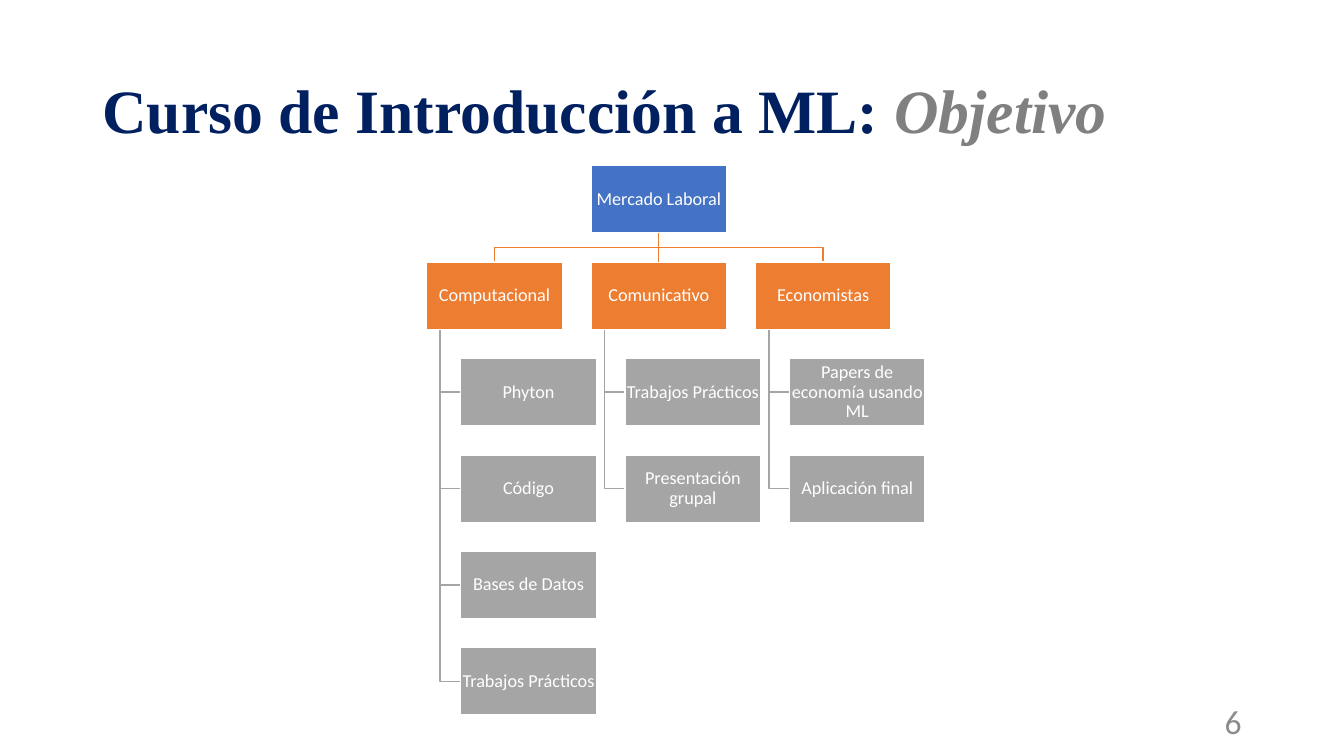
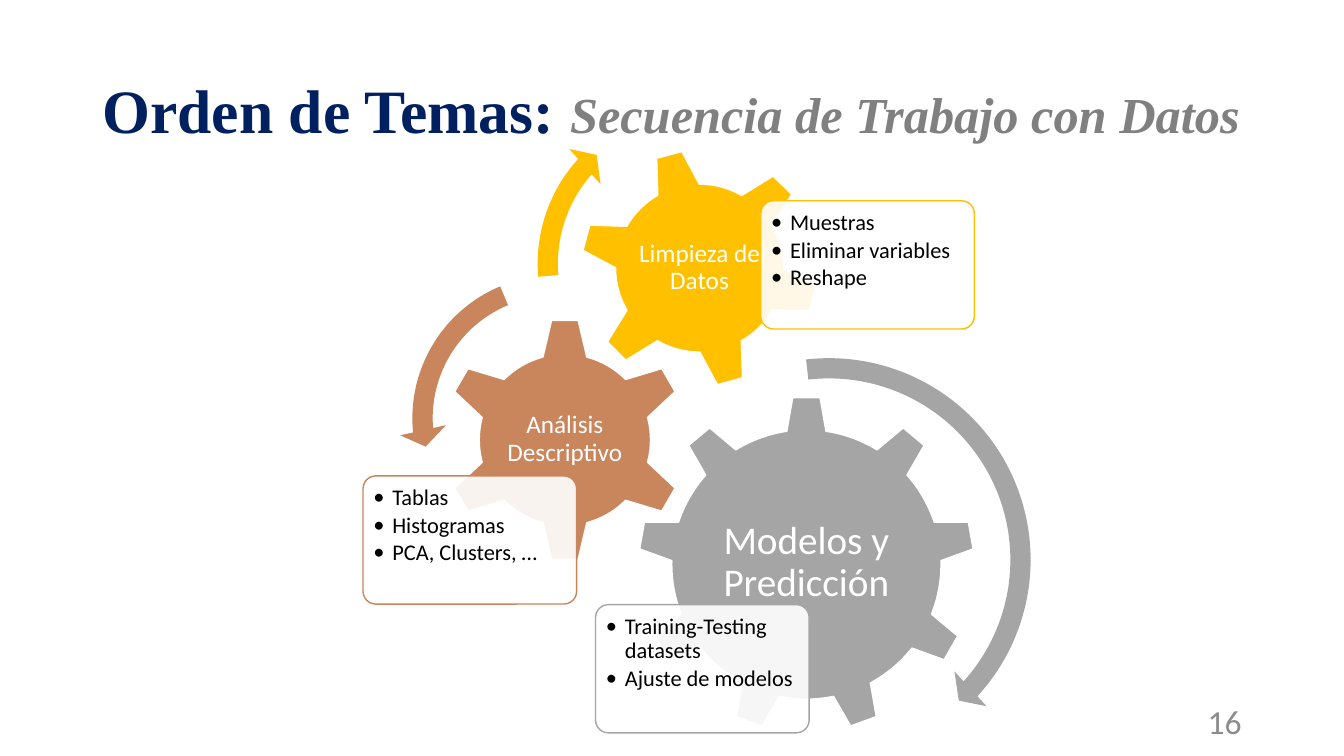
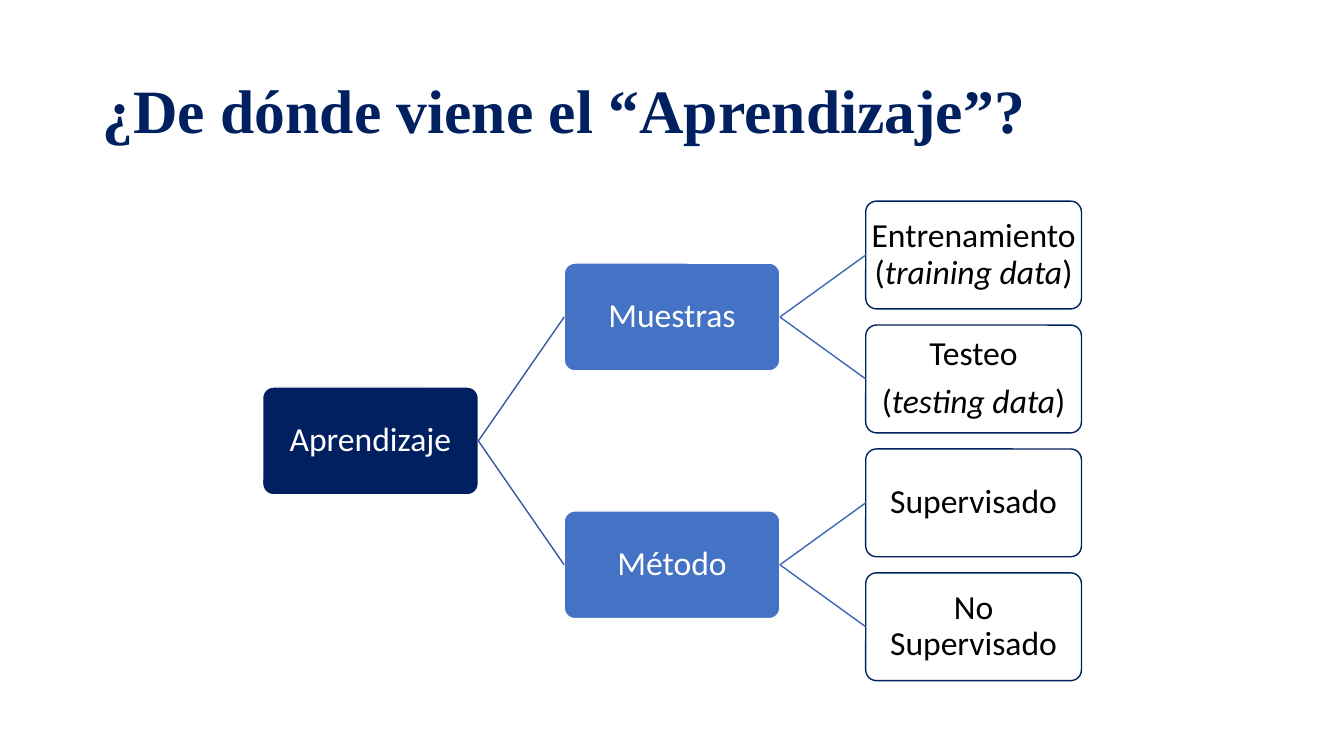
from lxml.etree import SubElement
from pptx import Presentation
from pptx.dml.color import RGBColor
from pptx.enum.shapes import MSO_CONNECTOR, MSO_SHAPE
from pptx.enum.text import MSO_ANCHOR, MSO_AUTO_SIZE, PP_ALIGN
from pptx.oxml.ns import qn
from pptx.util import Pt

NAVY = RGBColor(0x00, 0x20, 0x60)
BLUE = RGBColor(0x44, 0x72, 0xC4)
ROOT_LINK = RGBColor(0x36, 0x5B, 0x9D)
BRANCH_LINK = RGBColor(0x3E, 0x67, 0xB2)
ORANGE = RGBColor(0xED, 0x7D, 0x31)
GRAY = RGBColor(0xA5, 0xA5, 0xA5)
BROWN = RGBColor(0xC9, 0x85, 0x5C)
YELLOW = RGBColor(0xFF, 0xC0, 0x00)
SUBTITLE = RGBColor(0x80, 0x80, 0x80)
NUMBER = RGBColor(0x8C, 0x8C, 0x8C)
WHITE = RGBColor(0xFF, 0xFF, 0xFF)
BLACK = RGBColor(0x00, 0x00, 0x00)


def write(sp, paragraphs, size=18, color=WHITE, font="Calibri", bold=False,
          align=PP_ALIGN.CENTER, anchor=MSO_ANCHOR.MIDDLE, inset=None,
          spacing=0.9, after=0.35, bullet=False, fill=None, line=None):
    """Format a shape and fill it with paragraphs, each a list of
    (text, italic, font overrides) runs or a plain string."""
    if fill is not None:
        sp.shadow.inherit = False
        sp.fill.solid()
        sp.fill.fore_color.rgb = fill
        if line is None:
            sp.line.fill.background()
        else:
            sp.line.color.rgb = line
            sp.line.width = Pt(1)
    tf = sp.text_frame
    tf.word_wrap = True
    tf.auto_size = MSO_AUTO_SIZE.NONE
    tf.vertical_anchor = anchor
    if inset is not None:
        tf.margin_left = tf.margin_right = Pt(inset)
        tf.margin_top = tf.margin_bottom = Pt(inset)
    for i, runs in enumerate(paragraphs):
        p = tf.add_paragraph() if i else tf.paragraphs[0]
        p.alignment = align
        p.line_spacing = spacing
        p.space_before = Pt(0)
        p.space_after = Pt(round(size * after, 1))
        if bullet:
            pPr = p._p.get_or_add_pPr()
            pPr.set("marL", str(Pt(13.5)))
            pPr.set("indent", str(Pt(-13.5)))
            SubElement(pPr, qn("a:buFont")).set("typeface", font)
            SubElement(pPr, qn("a:buChar")).set("char", "•")
        for text, italic, other in [(runs, False, {})] if isinstance(runs, str) else runs:
            r = p.add_run()
            r.text = text
            r.font.name = font
            r.font.bold = bold
            r.font.italic = italic
            r.font.size = Pt(other.get("size", size))
            r.font.color.rgb = other.get("color", color)


def join(s, parent, site, child, child_site, color):
    """Connect two shapes with a straight line."""
    cn = s.shapes.add_connector(MSO_CONNECTOR.STRAIGHT, 0, 0, 0, 0)
    cn.begin_connect(parent, site)
    cn.end_connect(child, child_site)
    cn.line.color.rgb = color
    cn.line.width = Pt(1)
    SubElement(cn._element.spPr, qn("a:effectLst"))


prs = Presentation()
prs.slide_width, prs.slide_height = Pt(960), Pt(540)
layout = prs.slide_layouts[5]
title = layout.placeholders[0]
title.left, title.top, title.width, title.height = Pt(66), Pt(28.8), Pt(828), Pt(104.4)

# Titles and slide numbers
headings = [
    ("Curso de Introducción a ML: ", "Objetivo", 44, "6"),
    ("Orden de Temas: ", "Secuencia de Trabajo con Datos", 36, "16"),
    ("¿De dónde viene el “Aprendizaje”?", "", 44, ""),
]
for heading, subtitle, subtitle_size, number in headings:
    s = prs.slides.add_slide(layout)
    runs = [(heading, False, {})]
    if subtitle:
        runs.append((subtitle, True, {"size": subtitle_size, "color": SUBTITLE}))
    write(s.shapes.title, [runs], size=44, color=NAVY, font="Times New Roman",
          bold=True, align=PP_ALIGN.LEFT, after=0)
    if number:
        tb = s.shapes.add_textbox(Pt(678), Pt(500.4), Pt(216), Pt(28.8))
        write(tb, [number], size=24, color=NUMBER, align=PP_ALIGN.RIGHT,
              spacing=1, after=0)
course, sequence, learning = prs.slides

# Course goal: organisation chart, elbow lines behind the boxes
BOX_W, BOX_H = 97, 48.2
LEFT, TOP, COL, ROW = 304.7, 118.2, 117.4, 68.9
INDENT, TRUNK = 24.3, 9.7
areas = [
    ("Computacional", ["Phyton", "Código", "Bases de Datos", "Trabajos Prácticos"]),
    ("Comunicativo", ["Trabajos Prácticos", "Presentación grupal"]),
    ("Economistas", ["Papers de economía usando ML", "Aplicación final"]),
]
boxes = [("Mercado Laboral", LEFT + COL, 0, BLUE)]
elbows = []
root_x = LEFT + COL + BOX_W / 2
bus_y = TOP + (BOX_H + ROW) / 2
for i, (area, topics) in enumerate(areas):
    x = LEFT + i * COL
    center = x + BOX_W / 2
    boxes.append((area, x, 1, ORANGE))
    if i != 1:
        elbows.append((ORANGE, [(root_x, TOP + BOX_H), (root_x, bus_y),
                                (center, bus_y), (center, TOP + ROW)]))
    for row, topic in enumerate(topics, 2):
        y = TOP + row * ROW + BOX_H / 2
        boxes.append((topic, x + INDENT, row, GRAY))
        elbows.append((GRAY, [(x + TRUNK, TOP + ROW + BOX_H), (x + TRUNK, y),
                              (x + INDENT, y)]))
for color, points in elbows:
    start, *rest = [(Pt(x), Pt(y)) for x, y in points]
    outline = course.shapes.build_freeform(*start)
    outline.add_line_segments(rest, close=False)
    sp = outline.convert_to_shape()
    sp.shadow.inherit = False
    sp.fill.background()
    sp.line.color.rgb = color
    sp.line.width = Pt(1)
drawn = {}
for text, x, row, color in boxes:
    sp = course.shapes.add_shape(MSO_SHAPE.RECTANGLE, Pt(x), Pt(TOP + row * ROW),
                                 Pt(BOX_W), Pt(BOX_H))
    write(sp, [text], size=13, inset=0.7, fill=color, line=WHITE)
    drawn[text] = sp
join(course, drawn["Mercado Laboral"], 2, drawn["Comunicativo"], 0, ORANGE)

# Work sequence: gear, label, card with bullets and turning arrow.
# Label: text, size, width, middle.
# Arrow: kind, left, top, side, then width %, head angle, end and start angles, head %
CARD_W, CARD_H = 152.6, 91.6
LABEL_H = 86
stages = [
    (("Modelos y Predicción", 28, 144, 401.8), GRAY,
     (MSO_SHAPE.GEAR_9, 455.8, 283, 240.4, 0),
     (425.4, 431.9), ["Training-Testing datasets", "Ajuste de modelos"],
     (MSO_SHAPE.CIRCULAR_ARROW, 438.5, 246.2, 307.4, 4.7, 4.98, 42.35, 263.47, 5.5)),
    (("Análisis Descriptivo", 18, 87.2, 313.8), BROWN,
     (MSO_SHAPE.GEAR_6, 316.1, 226.8, 174.8, 0),
     (259.3, 339.9), ["Tablas", "Histogramas", "PCA, Clusters, …"],
     (MSO_SHAPE.LEFT_CIRCULAR_ARROW, 285.1, 187.2, 223.2, 6.5, 7.17, 174.82, 247.3, 7.5)),
    (("Limpieza de Datos", 18, 95.8, 191.4), YELLOW,
     (MSO_SHAPE.GEAR_6, 414, 105.8, 171.4, 345),
     (543.4, 143.4), ["Muestras", "Eliminar variables", "Reshape"],
     (MSO_SHAPE.CIRCULAR_ARROW, 374.4, 67.7, 241.2, 6, 6.57, 221.9, 175.14, 7)),
]
for label, color, gear, card, bullets, arrow in stages:
    kind, x, y, side, turn = gear
    sp = sequence.shapes.add_shape(kind, Pt(x), Pt(y), Pt(side), Pt(side))
    sp.rotation = turn
    write(sp, [], fill=color, line=WHITE)

    name, size, label_w, middle = label
    tb = sequence.shapes.add_textbox(Pt(x + (side - label_w) / 2), Pt(middle - LABEL_H / 2),
                                     Pt(label_w), Pt(LABEL_H))
    write(tb, [name], size=size, inset=2)

    sp = sequence.shapes.add_shape(MSO_SHAPE.ROUNDED_RECTANGLE, Pt(card[0]), Pt(card[1]),
                                   Pt(CARD_W), Pt(CARD_H))
    sp.adjustments[0] = 0.1
    write(sp, bullets, size=16, color=BLACK, align=PP_ALIGN.LEFT, anchor=MSO_ANCHOR.TOP,
          inset=4.8, after=0.15, bullet=True, fill=WHITE, line=color)
    fill_color = sp._element.spPr.find(qn("a:solidFill")).find(qn("a:srgbClr"))
    SubElement(fill_color, qn("a:alpha")).set("val", "90000")

    kind, x, y, side, width, head_angle, end, start, head = arrow
    sp = sequence.shapes.add_shape(kind, Pt(x), Pt(y), Pt(side), Pt(side))
    values = [width / 100, head_angle * 0.6, end * 0.6, start * 0.6, head / 100]
    for i, value in enumerate(values):
        sp.adjustments[i] = value
    write(sp, [], fill=color)

# Where learning comes from: tree from left to right
NODE_W, NODE_H = 154.1, 77
TREE_X, TREE_Y, LEVEL, STEP = 187.6, 143.7, 215.4, 88.5
# Text, level, row, index of the parent, fill, line, text colour
nodes = [
    (["Aprendizaje"], 0, 1.5, None, NAVY, WHITE, WHITE),
    (["Muestras"], 1, 0.5, 0, BLUE, WHITE, WHITE),
    (["Método"], 1, 2.5, 0, BLUE, WHITE, WHITE),
    ([[("Entrenamiento (", False, {}), ("training data", True, {}), (")", False, {})]],
     2, 0, 1, WHITE, NAVY, BLACK),
    (["Testeo", [("(", False, {}), ("testing data", True, {}), (")", False, {})]],
     2, 1, 1, WHITE, NAVY, BLACK),
    (["Supervisado"], 2, 2, 2, WHITE, NAVY, BLACK),
    (["No Supervisado"], 2, 3, 2, WHITE, NAVY, BLACK),
]
tree = []
for text, level, row, parent, fill, line, color in nodes:
    sp = learning.shapes.add_shape(MSO_SHAPE.ROUNDED_RECTANGLE,
                                   Pt(TREE_X + level * LEVEL), Pt(TREE_Y + row * STEP),
                                   Pt(NODE_W), Pt(NODE_H))
    sp.adjustments[0] = 0.1
    write(sp, text, size=24, color=color, inset=1.4, fill=fill, line=line)
    tree.append(sp)
    if parent is not None:
        join(learning, tree[parent], 3, sp, 1, ROOT_LINK if level == 1 else BRANCH_LINK)

prs.save("out.pptx")
